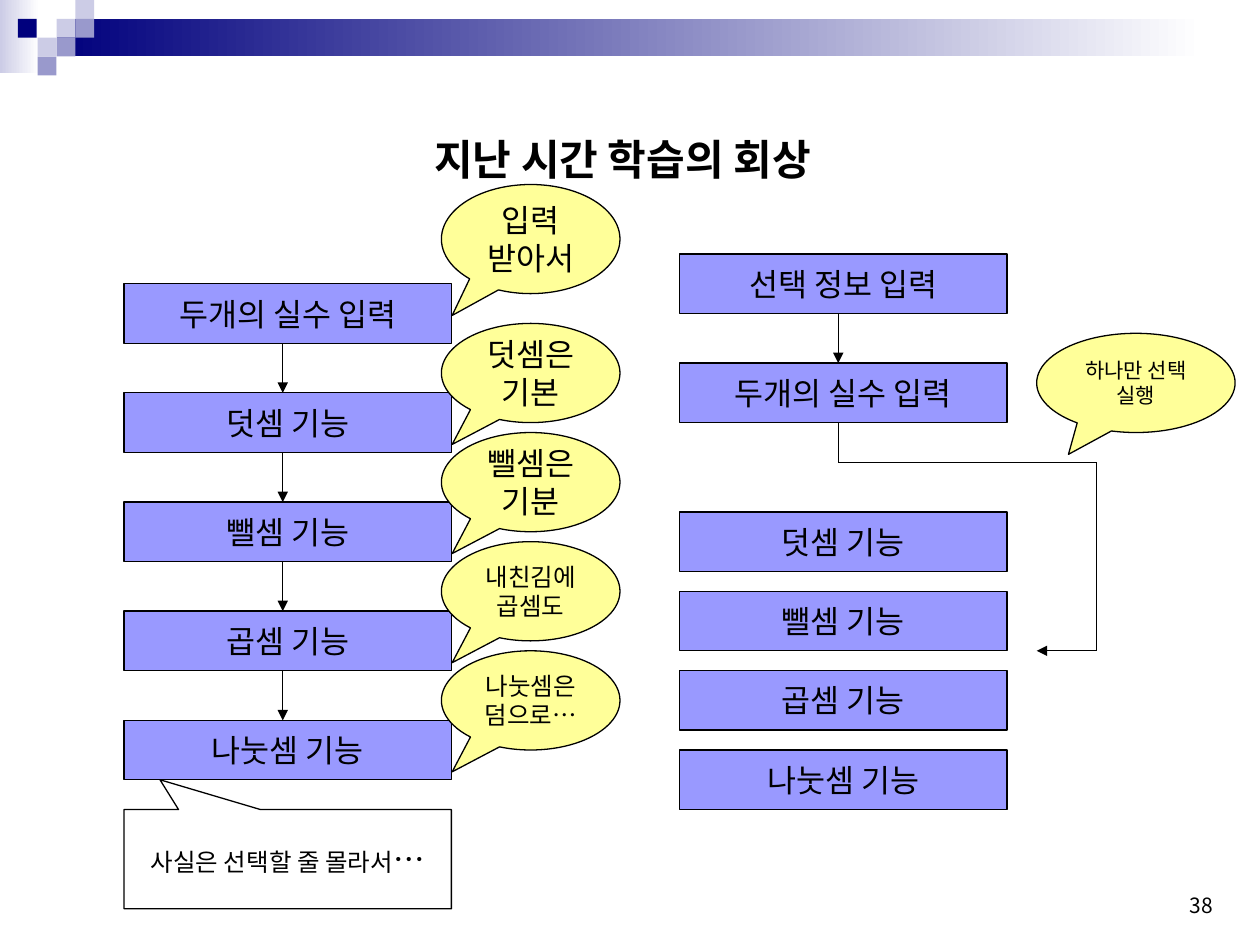
"""Build a slide that recalls last lesson's flow charts, with speech bubbles."""
from lxml.etree import SubElement
from pptx import Presentation
from pptx.dml.color import RGBColor
from pptx.enum.shapes import MSO_CONNECTOR, MSO_SHAPE
from pptx.enum.text import MSO_ANCHOR, PP_ALIGN
from pptx.oxml.ns import qn
from pptx.util import Cm, Pt

HUES = {"ink": "000000", "box": "9999FF", "bubble": "FFFF99", "navy": "00007D",
        "pale": "CCCCE6", "mid": "9999CC", "white": "FFFFFF"}
FONT = "Noto Sans CJK KR"
TITLE = "지난 시간 학습의 회상"
PAGE = "38"

BANDS = [("pale", 0, 0, 0.79, 1.47), ("navy", 1.14, 0.38, 23.12, 0.76)]
TILES = [("pale", 1.14, 0.38), ("pale", 1.52, 0), ("mid", 1.52, 0.38),
         ("pale", 0.76, 0.76), ("navy", 0.36, 0.38), ("mid", 1.14, 0.76),
         ("mid", 0.76, 1.14)]
TILE = 0.38

WIDE, HIGH, STEP = 6.6, 1.2, 2.2
OPS = ["덧셈 기능", "뺄셈 기능", "곱셈 기능", "나눗셈 기능"]
FLOWS = [(2.5, 5.72, STEP, True, ["두개의 실수 입력"] + OPS),
         (13.7, 5.12, STEP, True, ["선택 정보 입력", "두개의 실수 입력"]),
         (13.7, 10.32, 1.6, False, OPS)]
STEM = 3.2
ROUTE = [(16.9, 8.52), (16.9, 9.32), (22.1, 9.32), (22.1, 13.12), (20.9, 13.12)]

FIRST = ("입력 받아서", 18, (8.9, 3.72, 3.6, 2.2), (-0.44, 0.7))
SIDE = [("덧셈은 기본", 18), ("뺄셈은 기분", 18),
        ("내친김에 곱셈도", 14), ("나눗셈은 덤으로…", 14)]
LAST = ("하나만 선택 실행", 12, (20.9, 6.72, 4, 2), (-0.34, 0.72))
NOTE = ("사실은 선택할 줄 몰라서", "…")


def hue(key):
    return RGBColor.from_string(HUES[key])


def write(shape, text, size, align=PP_ALIGN.CENTER, anchor=MSO_ANCHOR.MIDDLE,
          wrap=True, bold=False, face=FONT):
    frame = shape.text_frame
    frame.word_wrap = wrap
    frame.vertical_anchor = anchor
    para = frame.paragraphs[0]
    para.text = text
    para.alignment = align
    font = para.font
    font.size, font.bold, font.name = Pt(size), bold, face
    font.color.rgb = hue("ink")
    SubElement(para._p.pPr.find(qn("a:defRPr")), qn("a:ea"), typeface=FONT)
    return para


def draw(kind, spot, fill=None, edge=True):
    shape = shapes.add_shape(kind, *map(Cm, spot))
    shape.shadow.inherit = False
    if fill:
        shape.fill.solid()
        shape.fill.fore_color.rgb = hue(fill)
    else:
        shape.fill.background()
    if edge:
        shape.line.color.rgb = hue("ink")
        shape.line.width = Pt(0.75)
    else:
        shape.line.fill.background()
    return shape


def aim(shape, tip):
    for i, value in enumerate(tip):
        shape.adjustments[i] = value


def link(start, end, head):
    line = shapes.add_connector(MSO_CONNECTOR.STRAIGHT, *map(Cm, start + end))
    line.line.color.rgb = hue("ink")
    line.line.width = Pt(0.75)
    if head:
        SubElement(line.line._get_or_add_ln(), qn("a:tailEnd"), type="triangle")
    SubElement(line._element.spPr, qn("a:effectLst"))


def bubble(text, size, spot, tip):
    shape = draw(MSO_SHAPE.OVAL_CALLOUT, spot, "bubble")
    aim(shape, tip)
    write(shape, text, size)


def flow(left, top, step, linked, names):
    for i, name in enumerate(names):
        y = top + i * step
        box = draw(MSO_SHAPE.RECTANGLE, (left, y, WIDE, HIGH), "box")
        write(box, name, 18, wrap=False)
        if linked and i:
            x = left + STEM
            link((x, y - step + HIGH), (x, y), True)


deck = Presentation()
deck.slide_width, deck.slide_height = Cm(25.4), Cm(19.05)
shapes = deck.slides.add_slide(deck.slide_layouts[6]).shapes

for key, *spot in BANDS:
    band = draw(MSO_SHAPE.RECTANGLE, spot, edge=False)
    band.fill.gradient()
    band.fill.gradient_angle = 0
    for stop, place, tone in zip(band.fill.gradient_stops, (0, 1), (key, "white")):
        stop.position = place
        stop.color.rgb = hue(tone)
for key, x, y in TILES:
    draw(MSO_SHAPE.RECTANGLE, (x, y, TILE, TILE), key, False)

page = shapes.add_textbox(Cm(18.2), Cm(17.35), Cm(6.5), Cm(1.27))
write(page, PAGE, 12, PP_ALIGN.RIGHT, MSO_ANCHOR.BOTTOM)
title = shapes.add_textbox(Cm(7.29), Cm(2.14), Cm(12.93), Cm(2.1))
title.text_frame.margin_right = Cm(2.66)
write(title, TITLE, 24, bold=True, face="Times New Roman")

for part in FLOWS:
    flow(*part)
bubble(*FIRST)
for i, (text, size) in enumerate(SIDE):
    bubble(text, size, (8.9, 6.52 + i * STEP, 3.6, 2), (-0.44, 0.72))
bubble(*LAST)

note = draw(MSO_SHAPE.RECTANGULAR_CALLOUT, (2.5, 16.32, WIDE, 2))
aim(note, (-0.39, -0.8))
dots = write(note, NOTE[0], 14).add_run()
dots.text = NOTE[1]
dots.font.size = Pt(18)

for start, end in zip(ROUTE, ROUTE[1:]):
    link(start, end, end == ROUTE[-1])

deck.save("out.pptx")
